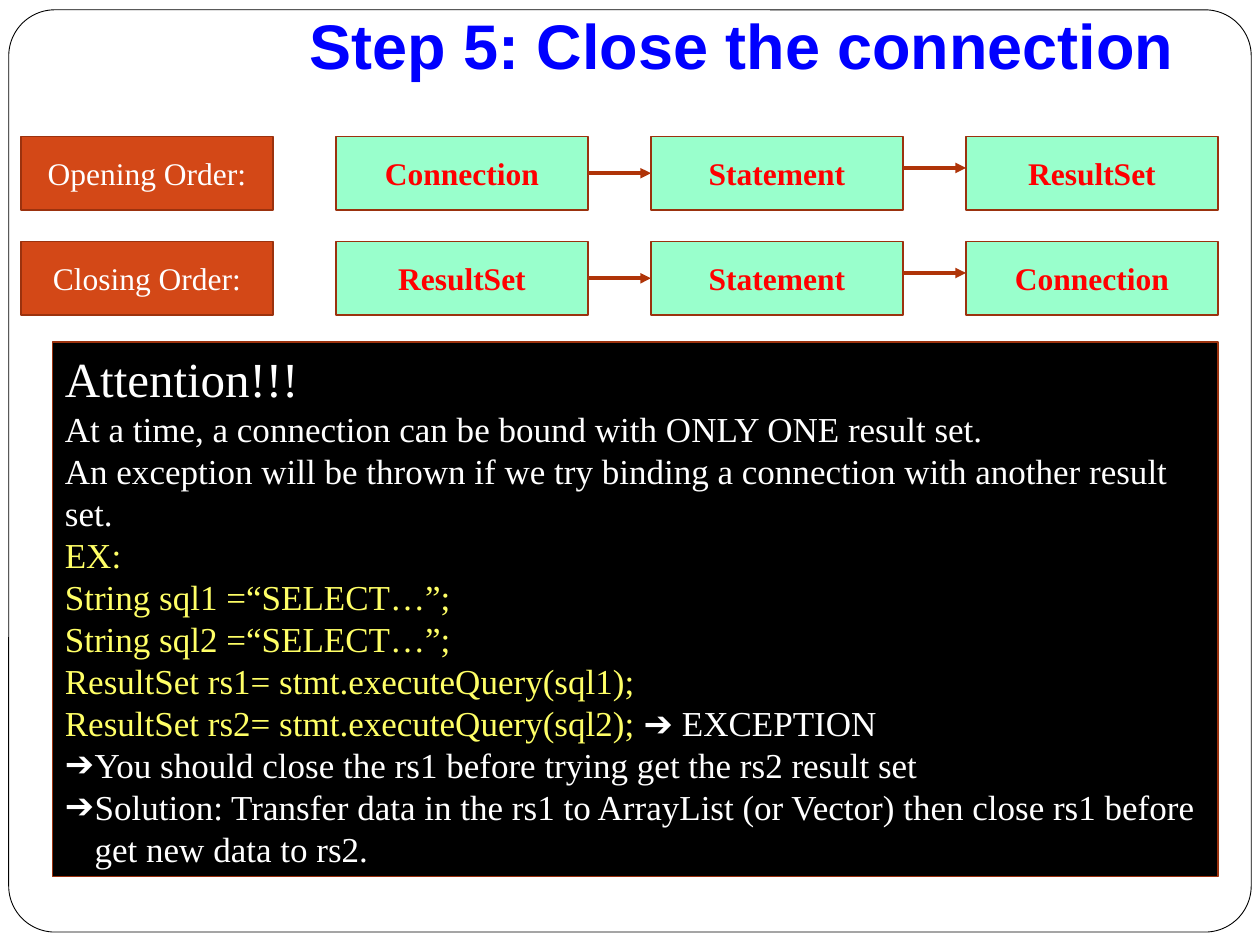
from lxml import etree
from pptx import Presentation
from pptx.dml.color import RGBColor
from pptx.enum import shapes, text
from pptx.oxml import ns
from pptx.util import Pt

WHITE = RGBColor(0xFF, 0xFF, 0xFF)
BLACK = RGBColor(0, 0, 0)
BLUE = RGBColor(0, 0, 0xFF)
RED = RGBColor(0xFF, 0, 0)
YELLOW = RGBColor(0xFF, 0xFF, 0x66)
ORANGE = RGBColor(0xD3, 0x48, 0x17)
MINT = RGBColor(0x99, 0xFF, 0xCC)
BROWN = RGBColor(0x9B, 0x32, 0x0E)
RUST = RGBColor(0xAF, 0x34, 0x08)
SERIF, SANS = "Times New Roman", "Arial"

TITLE = "Step 5: Close the connection"
ORDERS = [
    ("Opening Order:", ["Connection", "Statement", "ResultSet"]),
    ("Closing Order:", ["ResultSet", "Statement", "Connection"]),
]
HEADING = "Attention!!!"
FACTS = [
    "At a time, a connection can be bound with ONLY ONE result set.",
    "An exception will be thrown if we try binding a connection with another result set.",
]
CODE = [
    "EX:",
    "String sql1 =“SELECT…”;",
    "String sql2 =“SELECT…”;",
    "ResultSet rs1= stmt.executeQuery(sql1);",
    "ResultSet rs2= stmt.executeQuery(sql2); ",
]
ARROW, OUTCOME = "➔", " EXCEPTION"
ADVICE = [
    "You should close the rs1 before trying get the rs2 result set",
    "Solution: Transfer data in the rs1 to ArrayList (or Vector) then close rs1 before get new data to rs2.",
]

LEFT, TOP = 12, 78
BOX_W, BOX_H = 144, 42
STEP_X, STEP_Y = 180, 60
ARROW_DY = [21, 18]
BULLET_INDENT = 17


def add_run(p, words, size=20, color=WHITE, font=SERIF, bold=False):
    r = p.add_run()
    r.text = words
    r.font.size = Pt(size)
    r.font.name = font
    r.font.bold = bold
    r.font.color.rgb = color


def add_box(s, left, top, width, height, fill, line=BROWN, weight=1,
            kind=shapes.MSO_SHAPE.RECTANGLE):
    sp = s.shapes.add_shape(kind, Pt(left), Pt(top), Pt(width), Pt(height))
    sp.shadow.inherit = False
    sp.fill.solid()
    sp.fill.fore_color.rgb = fill
    sp.line.color.rgb = line
    sp.line.width = Pt(weight)
    sp.text_frame.word_wrap = True
    sp.text_frame.vertical_anchor = text.MSO_ANCHOR.MIDDLE
    return sp


def add_label(s, left, top, words, fill, **style):
    sp = add_box(s, left, top, BOX_W, BOX_H, fill)
    p = sp.text_frame.paragraphs[0]
    p.alignment = text.PP_ALIGN.CENTER
    add_run(p, words, size=18, **style)


def add_arrow(s, x, y):
    c = s.shapes.add_connector(shapes.MSO_CONNECTOR.STRAIGHT,
                               Pt(x), Pt(y), Pt(x + STEP_X - BOX_W), Pt(y))
    c.line.color.rgb = RUST
    c.line.width = Pt(2)
    etree.SubElement(c.line._ln, ns.qn("a:tailEnd"), type="triangle")
    etree.SubElement(c._element.spPr, ns.qn("a:effectLst"))


def add_bullet(p):
    pPr = p._p.get_or_add_pPr()
    pPr.set("marL", str(Pt(BULLET_INDENT)))
    pPr.set("indent", str(-Pt(BULLET_INDENT)))
    clr = etree.SubElement(pPr, ns.qn("a:buClr"))
    etree.SubElement(clr, ns.qn("a:srgbClr"), val=str(WHITE))
    etree.SubElement(pPr, ns.qn("a:buFont"), typeface=SANS)
    etree.SubElement(pPr, ns.qn("a:buChar"), char=ARROW)


def add_title(s):
    sp = s.shapes.add_textbox(Pt(72), Pt(0), Pt(606), Pt(54))
    tf = sp.text_frame
    tf.word_wrap = True
    tf.vertical_anchor = text.MSO_ANCHOR.BOTTOM
    tf.margin_bottom = Pt(7.2)
    p = tf.paragraphs[0]
    p.alignment = text.PP_ALIGN.RIGHT
    add_run(p, TITLE, size=36, color=BLUE, font=SANS, bold=True)


def add_orders(s):
    for row, (name, steps) in enumerate(ORDERS):
        top = TOP + row * STEP_Y
        add_label(s, LEFT, top, name, ORANGE)
        for col, step in enumerate(steps, 1):
            add_label(s, LEFT + col * STEP_X, top, step, MINT, color=RED, bold=True)
        for col, dy in enumerate(ARROW_DY, 1):
            add_arrow(s, LEFT + col * STEP_X + BOX_W, top + dy)


def add_attention(s):
    tf = add_box(s, 30, 195.6, 666, 305.3, BLACK).text_frame
    p = tf.paragraphs[0]
    p.alignment = text.PP_ALIGN.LEFT
    add_run(p, HEADING, size=28)
    for lines, color in ((FACTS, WHITE), (CODE, YELLOW), (ADVICE, WHITE)):
        for line in lines:
            p = tf.add_paragraph()
            p.alignment = text.PP_ALIGN.LEFT
            if lines is ADVICE:
                add_bullet(p)
            add_run(p, line, color=color)
            if line == CODE[-1]:
                add_run(p, ARROW, font=SANS)
                add_run(p, OUTCOME)


def main():
    prs = Presentation()
    prs.slide_width, prs.slide_height = Pt(720), Pt(540)
    s = prs.slides.add_slide(prs.slide_layouts[6])
    frame = add_box(s, 5, 5.6, 710, 527, WHITE, BLACK, 0.5,
                    shapes.MSO_SHAPE.ROUNDED_RECTANGLE)
    frame.adjustments[0] = 0.05
    add_title(s)
    add_orders(s)
    add_attention(s)
    prs.save("out.pptx")


if __name__ == "__main__":
    main()
